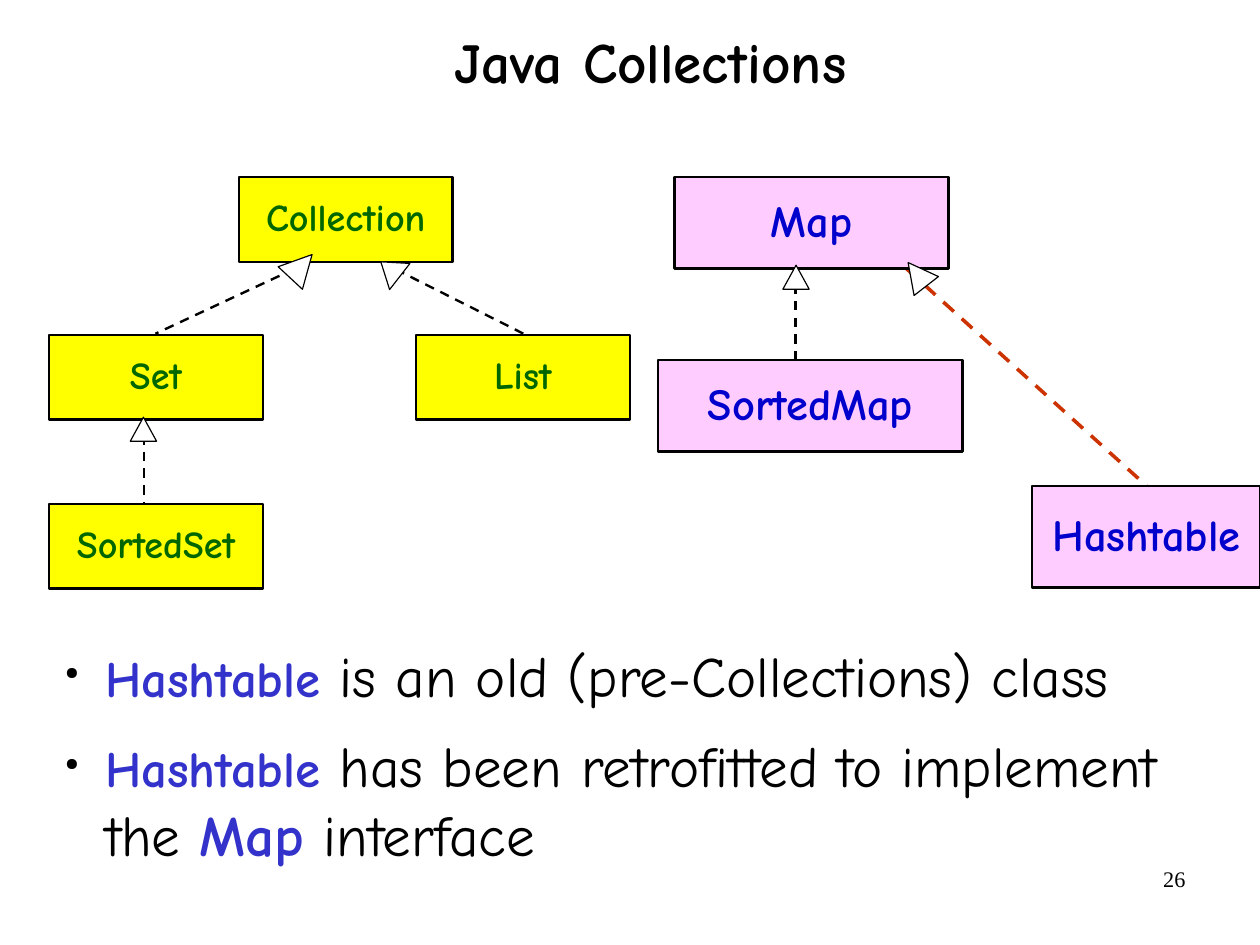
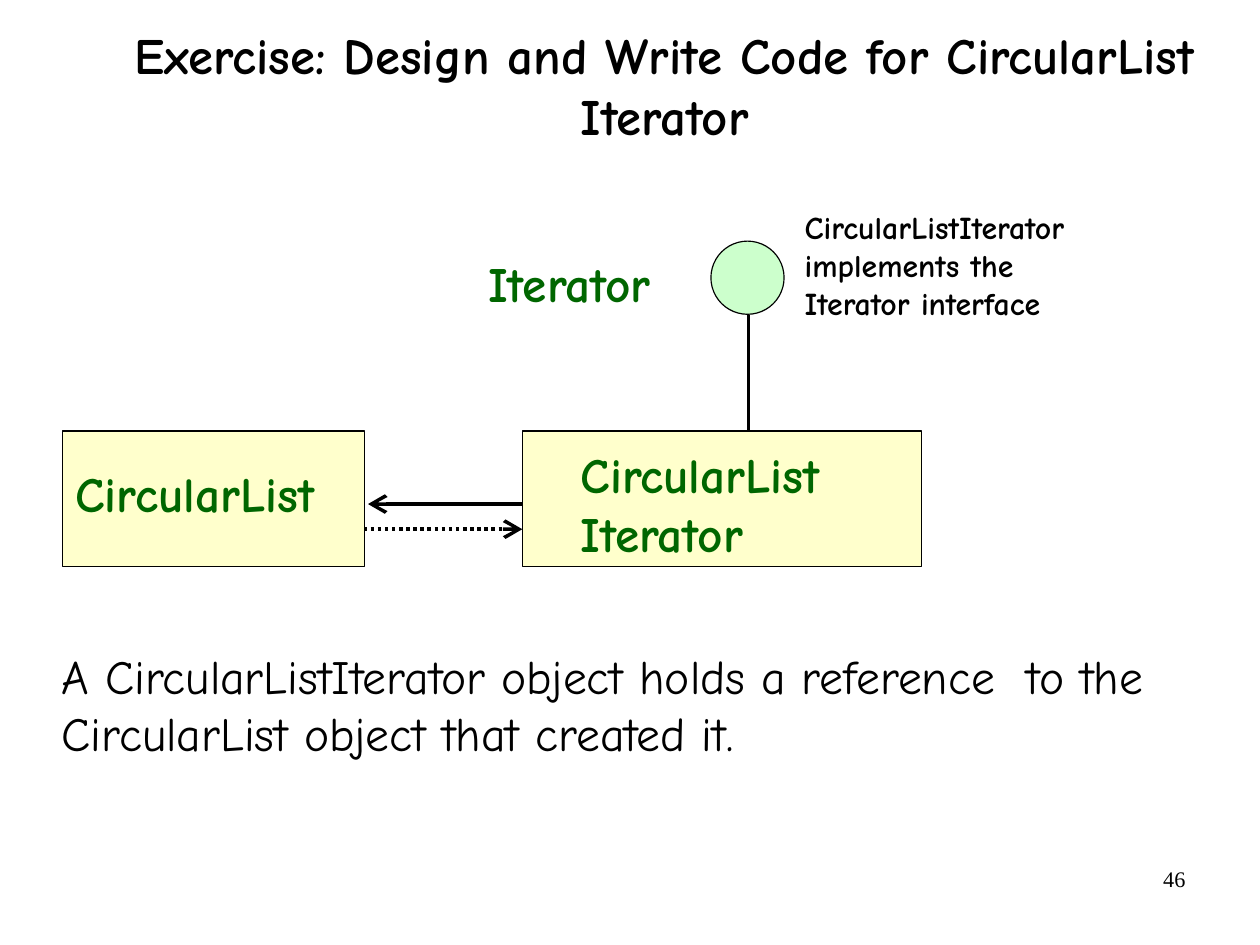
from lxml import etree
from pptx import Presentation
from pptx.dml.color import RGBColor
from pptx.enum.dml import MSO_LINE
from pptx.enum.shapes import MSO_CONNECTOR, MSO_SHAPE
from pptx.enum.text import MSO_ANCHOR, MSO_AUTO_SIZE, PP_ALIGN
from pptx.oxml.ns import qn
from pptx.util import Inches, Pt

rgb = RGBColor.from_string
FONT = "Comic Neue"
BLACK, WHITE, GREEN, BLUE, INDIGO = "000000", "FFFFFF", "006600", "0000CC", "3333CC"
YELLOW, PINK, CREAM, MINT, RED = "FFFF00", "FFCCFF", "FFFFCC", "CCFFCC", "CC3300"


def add_run(p, text, size, color=BLACK, bold=True, font=FONT):
    r = p.add_run()
    r.text = text
    r.font.name = font
    r.font.size = Pt(size)
    r.font.bold = bold
    r.font.color.rgb = rgb(color)


def add_shape(s, kind, box, fill, weight=0.75):
    sp = s.shapes.add_shape(kind, *map(Inches, box))
    sp.shadow.inherit = False
    sp.fill.solid()
    sp.fill.fore_color.rgb = rgb(fill)
    sp.line.color.rgb = rgb(BLACK)
    sp.line.width = Pt(weight)
    return sp


# The page is 28 by 21 cm
prs = Presentation()
prs.slide_width, prs.slide_height = Inches(28 / 2.54), Inches(21 / 2.54)

# Titles and page numbers
slides = []
for title, box, size, spacing, number in [
    ("Java Collections", (0.88, -0.11, 9.62, 1.37), 36, 0.88, "26"),
    ("Exercise: Design and Write Code for CircularList Iterator",
     (0.76, 0.31, 10.11, 0.87), 32, 1.0, "46"),
]:
    s = prs.slides.add_slide(prs.slide_layouts[5])
    slides.append(s)
    sp = s.shapes.title
    sp.left, sp.top, sp.width, sp.height = map(Inches, box)
    tf = sp.text_frame
    tf.margin_left = tf.margin_right = tf.margin_top = tf.margin_bottom = 0
    tf.auto_size = MSO_AUTO_SIZE.NONE
    tf.word_wrap = True
    tf.vertical_anchor = MSO_ANCHOR.MIDDLE
    p = tf.paragraphs[0]
    p.alignment = PP_ALIGN.CENTER
    p.line_spacing = spacing
    add_run(p, title, size)

    tf = s.shapes.add_textbox(*map(Inches, (7.9, 7.52, 2.57, 0.57))).text_frame
    tf.word_wrap = True
    p = tf.paragraphs[0]
    p.alignment = PP_ALIGN.RIGHT
    add_run(p, number, 14, bold=False, font="Times New Roman")
hierarchy, exercise = slides

# Lines and arrows
DASH, DOT = MSO_LINE.DASH, MSO_LINE.ROUND_DOT
for s, start, end, color, weight, dash, arrow in [
    (hierarchy, (2.71, 2.29), (1.36, 2.92), BLACK, 1.5, DASH, False),
    (hierarchy, (3.33, 2.29), (4.58, 2.92), BLACK, 1.5, DASH, False),
    (hierarchy, (1.26, 3.66), (1.26, 4.4), BLACK, 1.5, DASH, False),
    (hierarchy, (6.96, 2.34), (6.96, 3.14), BLACK, 1.5, DASH, False),
    (hierarchy, (7.93, 2.35), (10.03, 4.25), RED, 2.25, DASH, False),
    (exercise, (4.57, 4.41), (3.22, 4.41), BLACK, 2.25, None, True),
    (exercise, (3.18, 4.63), (4.57, 4.63), BLACK, 2.25, DOT, True),
    (exercise, (6.55, 2.76), (6.55, 3.77), BLACK, 2.25, None, False),
]:
    line = s.shapes.add_connector(MSO_CONNECTOR.STRAIGHT, *map(Inches, start + end))
    line.line.color.rgb = rgb(color)
    line.line.width = Pt(weight)
    if dash:
        line.line.dash_style = dash
    spPr = line._element.spPr
    if arrow:
        etree.SubElement(spPr.find(qn("a:ln")), qn("a:tailEnd"),
                         type="arrow", w="lg", len="lg")
    etree.SubElement(spPr, qn("a:effectLst"))

# Interface and class boxes
COLLECTION, MAP = (YELLOW, GREEN, 24), (PINK, BLUE, 28)
for name, box, (fill, color, size) in [
    ("Collection", (2.09, 1.55, 1.87, 0.74), COLLECTION),
    ("SortedSet", (0.43, 4.41, 1.87, 0.74), COLLECTION),
    ("List", (3.64, 2.93, 1.87, 0.74), COLLECTION),
    ("Set", (0.43, 2.93, 1.87, 0.74), COLLECTION),
    ("SortedMap", (5.76, 3.15, 2.66, 0.8), MAP),
    ("Map", (5.9, 1.55, 2.4, 0.8), MAP),
    ("Hashtable", (9.03, 4.25, 2, 0.89), MAP),
]:
    sp = add_shape(hierarchy, MSO_SHAPE.FLOWCHART_PROCESS, box, fill, 1.5)
    tf = sp.text_frame
    tf.word_wrap = False
    tf.vertical_anchor = MSO_ANCHOR.MIDDLE
    p = tf.paragraphs[0]
    p.alignment = PP_ALIGN.CENTER
    p.line_spacing = 0.9
    p.space_after = Pt(10.9)
    add_run(p, name, size, color)

# Inheritance arrowheads
for box, angle in [
    ((6.85, 2.32, 0.23, 0.21), 0),
    ((1.14, 3.65, 0.23, 0.21), 0),
    ((7.89, 2.27, 0.27, 0.26), 322.2),
    ((3.27, 2.25, 0.29, 0.21), 307.9),
    ((2.49, 2.19, 0.29, 0.28), 42.9),
]:
    add_shape(hierarchy, MSO_SHAPE.ISOSCELES_TRIANGLE, box, WHITE).rotation = angle

# Bullets: runs of (text, size, colour, bold)
hashtable = ("Hashtable", 32, INDIGO, True)
bullets = [
    [hashtable, (" is an old (pre-Collections) class", 36, BLACK, False)],
    [hashtable, (" has been retrofitted to implement the ", 36, BLACK, False),
     ("Map", 36, INDIGO, True), (" interface", 36, BLACK, False)],
]
tf = hierarchy.shapes.add_textbox(*map(Inches, (0.46, 5.6, 10.34, 1.79))).text_frame
tf.margin_left = tf.margin_right = tf.margin_top = tf.margin_bottom = 0
tf.word_wrap = True
for i, runs in enumerate(bullets):
    p = tf.add_paragraph() if i else tf.paragraphs[0]
    pPr = p._p.get_or_add_pPr()
    pPr.set("marL", str(Inches(0.46)))
    pPr.set("indent", str(Inches(-0.35)))
    etree.SubElement(etree.SubElement(pPr, qn("a:buClr")), qn("a:srgbClr"), val=BLACK)
    etree.SubElement(pPr, qn("a:buSzPct"), val="34000")
    etree.SubElement(pPr, qn("a:buChar"), char="●")
    p.space_after = Pt(13.8)
    for run in runs:
        add_run(p, *run)

# Exercise diagram
for kind, box, fill in [
    (MSO_SHAPE.RECTANGLE, (0.55, 3.77, 2.64, 1.19), CREAM),
    (MSO_SHAPE.RECTANGLE, (4.57, 3.77, 3.49, 1.19), CREAM),
    (MSO_SHAPE.OVAL, (6.22, 2.11, 0.64, 0.64), MINT),
]:
    add_shape(exercise, kind, box, fill)

for lines, box, size, color, bold in [
    (["CircularList"], (0.55, 3.99, 2.59, 0.63), 31, GREEN, True),
    (["CircularList", "Iterator"], (4.97, 3.83, 2.76, 1.15), 31, GREEN, True),
    (["Iterator"], (4.16, 2.16, 2.11, 0.63), 31, GREEN, True),
    (["CircularListIterator", "implements the", "Iterator interface"],
     (6.93, 1.76, 3.76, 1.11), 20, BLACK, True),
    (["A CircularListIterator object holds a reference  to the "
      "CircularList object that created it."],
     (0.43, 5.6, 10.41, 1.11), 30, BLACK, False),
]:
    tf = exercise.shapes.add_textbox(*map(Inches, box)).text_frame
    tf.margin_left = tf.margin_right = Inches(0.11)
    tf.margin_top = tf.margin_bottom = Inches(0.06)
    tf.word_wrap = True
    for i, text in enumerate(lines):
        p = tf.add_paragraph() if i else tf.paragraphs[0]
        add_run(p, text, size, color, bold)

prs.save("out.pptx")
